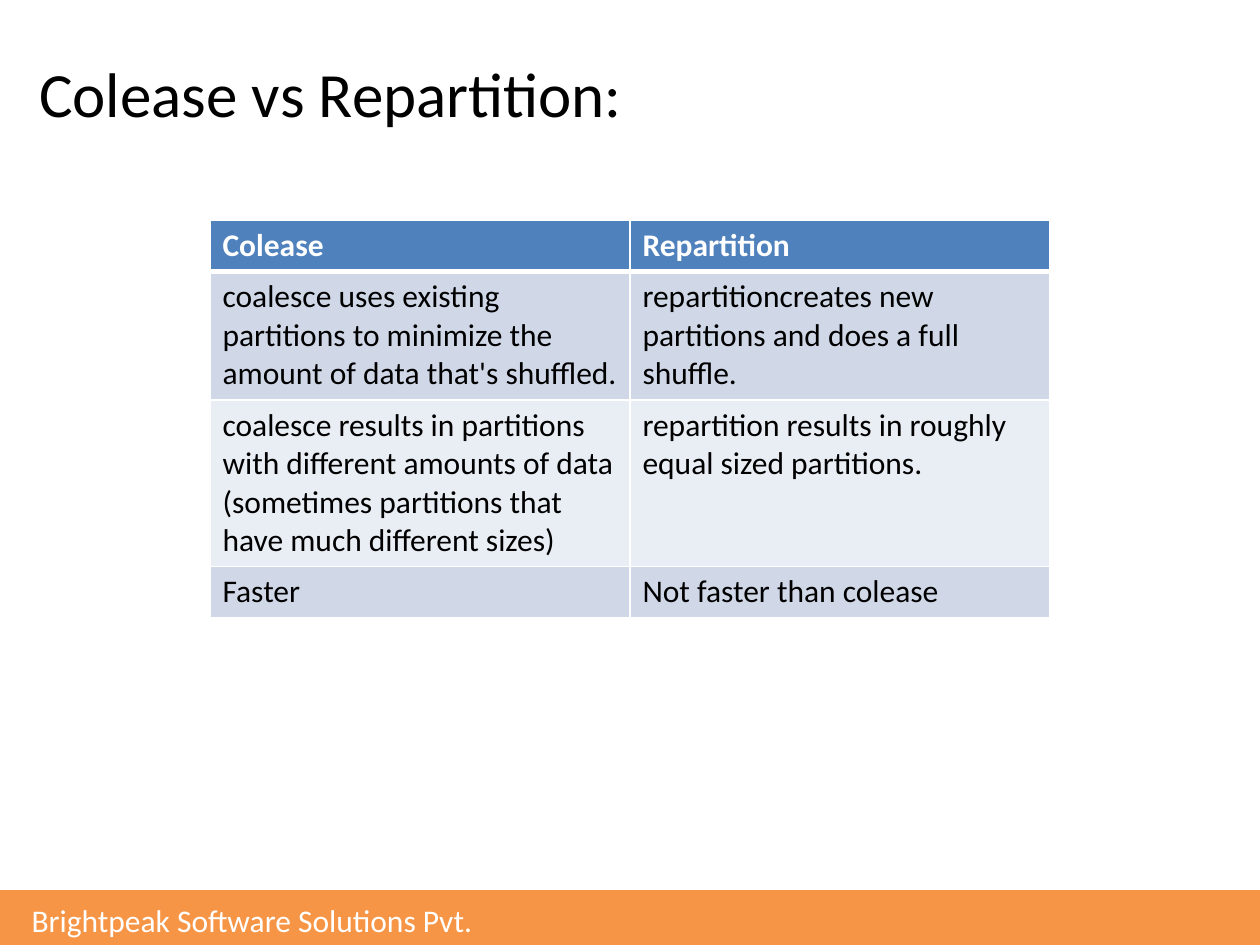
from dataclasses import dataclass

from lxml.etree import SubElement
from pptx import Presentation
from pptx.dml.color import RGBColor
from pptx.enum.shapes import MSO_SHAPE as Preset
from pptx.enum.text import MSO_ANCHOR as Anchor, PP_ALIGN as Align
from pptx.oxml.ns import qn
from pptx.util import Inches, Pt

FONT = "Calibri"
BLACK, WHITE, ORANGE = "000000", "FFFFFF", "F79546"
HEADER_BLUE, BAND_DARK, BAND_LIGHT = "4F81BD", "D0D8E8", "E9EDF4"
WIDTH, HEIGHT = 10, 7.5


@dataclass(frozen=True)
class Row:
    coalesce: str
    repartition: str
    height: float
    fill: str
    header: bool = False


ROWS = [
    Row("Colease", "Repartition", 0.4, HEADER_BLUE, header=True),
    Row("coalesce\u00a0uses existing partitions to minimize the amount of data that's shuffled.",
        "repartitioncreates new partitions and does a full shuffle.", 1.02, BAND_DARK),
    Row("coalesce\u00a0results in partitions with different amounts of data "
        "(sometimes partitions that have much different sizes)",
        "repartition\u00a0results in roughly equal sized partitions.", 1.32, BAND_LIGHT),
    Row("Faster", "Not faster than colease", 0.4, BAND_DARK),
]


def color(value: str) -> RGBColor:
    return RGBColor.from_string(value)


def place(shape, left: float, top: float, width: float, height: float) -> None:
    shape.left, shape.top = Inches(left), Inches(top)
    shape.width, shape.height = Inches(width), Inches(height)


def write(frame, text: str, size: float, ink: str, bold: bool = False) -> None:
    paragraph = frame.paragraphs[0]
    paragraph.alignment = Align.LEFT
    run = paragraph.add_run()
    run.text = text
    run.font.name, run.font.size, run.font.bold = FONT, Pt(size), bold
    run.font.color.rgb = color(ink)


def clear_insets(frame) -> None:
    frame.margin_left = frame.margin_right = frame.margin_top = frame.margin_bottom = 0
    frame.vertical_anchor = Anchor.TOP
    frame.word_wrap = True


def add_bar(shapes, left: float, top: float, width: float, height: float) -> None:
    bar = shapes.add_shape(Preset.RECTANGLE, Inches(left), Inches(top), Inches(width), Inches(height))
    bar.shadow.inherit = False
    bar.fill.solid()
    bar.fill.fore_color.rgb = color(ORANGE)
    bar.line.color.rgb = color(ORANGE)
    bar.line.width = Pt(2)


def style_cell(cell, text: str, row: Row) -> None:
    write(cell.text_frame, text, 18, WHITE if row.header else BLACK, row.header)
    # Borders come before the fill in the cell properties
    properties = cell._tc.get_or_add_tcPr()
    for side in ("lnL", "lnR", "lnT", "lnB"):
        points = 3 if row.header and side == "lnB" else 1
        border = SubElement(properties, qn(f"a:{side}"), w=str(Pt(points)))
        SubElement(SubElement(border, qn("a:solidFill")), qn("a:srgbClr"), val=WHITE)
    cell.fill.solid()
    cell.fill.fore_color.rgb = color(row.fill)


def add_comparison(shapes, rows: list[Row]) -> None:
    width = WIDTH * 2 / 3
    height = sum(row.height for row in rows)
    table = shapes.add_table(len(rows), 2, Inches((WIDTH - width) / 2), Inches(1.75),
                             Inches(width), Inches(height)).table
    for index, row in enumerate(rows):
        table.rows[index].height = Inches(row.height)
        for column, text in enumerate((row.coalesce, row.repartition)):
            style_cell(table.cell(index, column), text, row)


deck = Presentation()
deck.slide_width, deck.slide_height = Inches(WIDTH), Inches(HEIGHT)
slide = deck.slides.add_slide(deck.slide_layouts[5])

# Footer band and its label panel
add_bar(slide.shapes, 0, 7.08, WIDTH, HEIGHT - 7.08)
add_bar(slide.shapes, 0.16, 7.11, 4.23, 0.31)

# Title
title = slide.shapes.title
place(title, 0.31, 0.43, WIDTH - 2 * 0.31, 0.61)
clear_insets(title.text_frame)
write(title.text_frame, "Colease vs Repartition:", 36, BLACK)

# Comparison table
add_comparison(slide.shapes, ROWS)

# Footer text
company = slide.shapes.add_textbox(Inches(0.25), Inches(7.15), Inches(3.89), Inches(0.28))
clear_insets(company.text_frame)
write(company.text_frame, "Brightpeak Software Solutions Pvt.", 18, WHITE)

deck.save("out.pptx")
